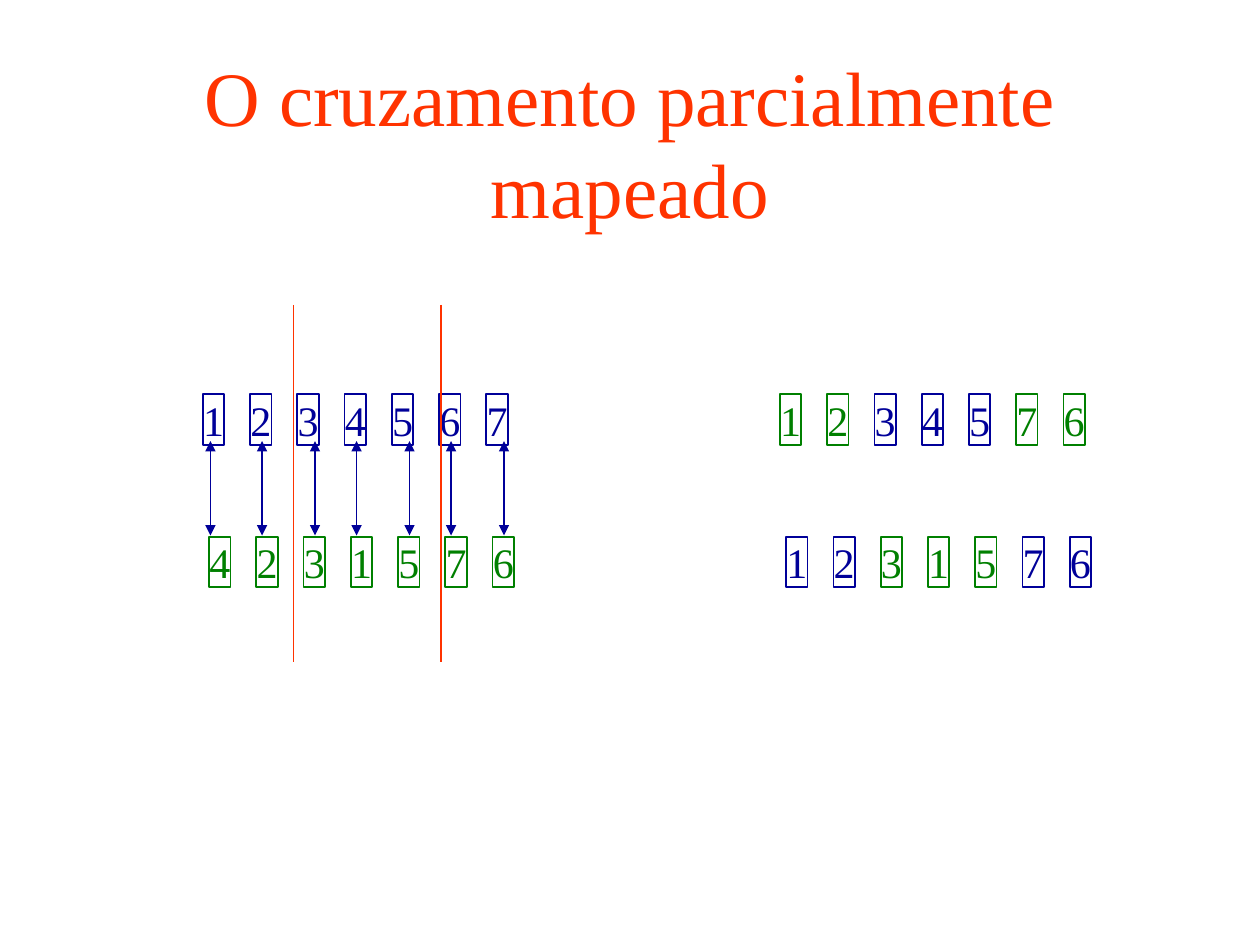
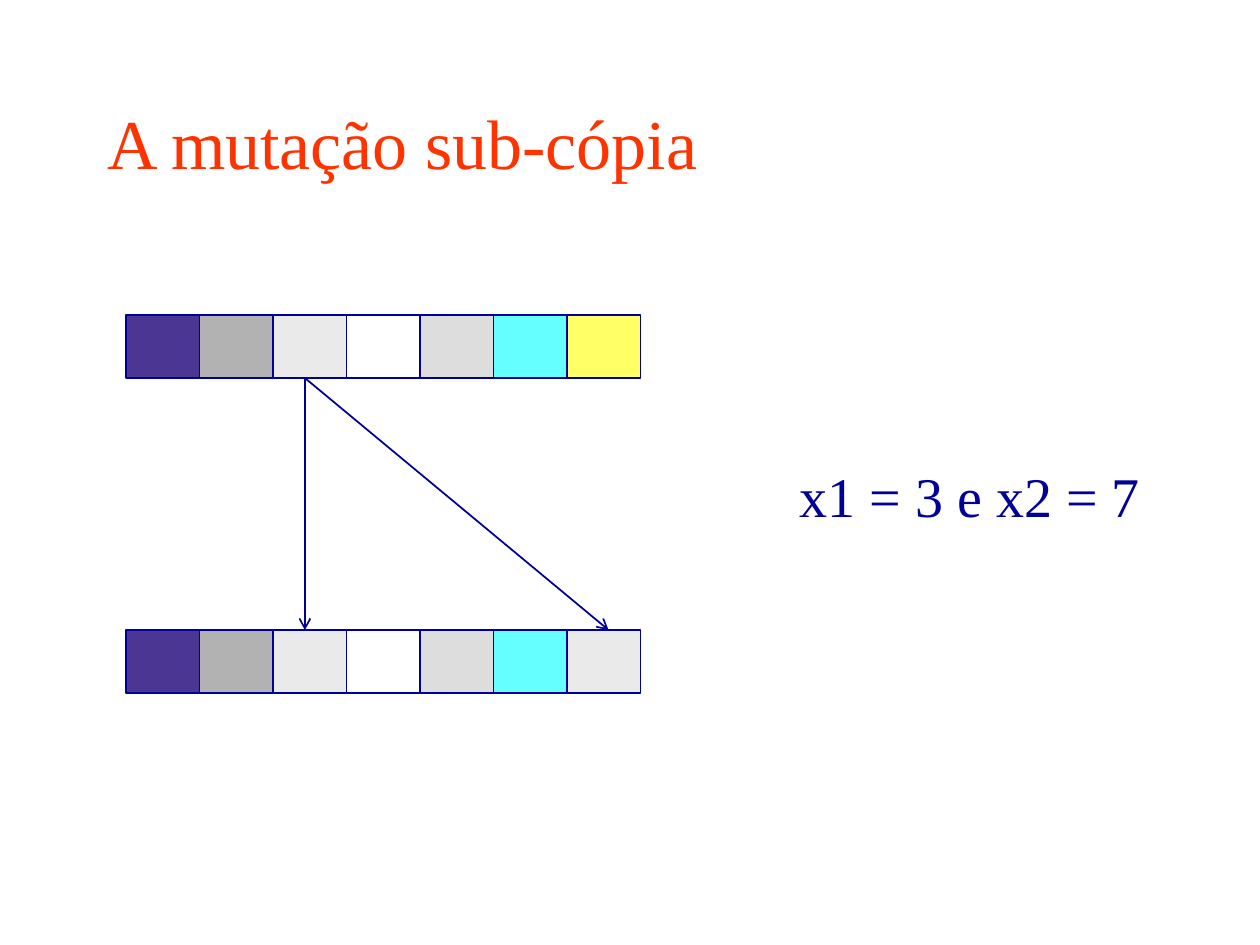
import pptx
import pptx.util
import pptx.dml.color
import pptx.enum.shapes
import pptx.enum.text
import pptx.oxml.ns
from lxml import etree

Inches = pptx.util.Inches
Align = pptx.enum.text.PP_ALIGN
Anchor = pptx.enum.text.MSO_ANCHOR
AutoSize = pptx.enum.text.MSO_AUTO_SIZE
qn = pptx.oxml.ns.qn

FONT = "Times New Roman"
RED = "FF3300"
BLUE = "000099"
GREEN = "008000"
GENE_COLORS = {"B": BLUE, "G": GREEN}
GENE_PITCH = 0.375
CELL_WIDTH = 7 / 12
CELL_HEIGHT = 0.5


def color(hex_string):
    return pptx.dml.color.RGBColor.from_string(hex_string)


def format_text(text_frame, size, text_color, align):
    for paragraph in text_frame.paragraphs:
        paragraph.alignment = align
        for run in paragraph.runs:
            run.font.name = FONT
            run.font.size = pptx.util.Pt(size)
            run.font.color.rgb = color(text_color)


def add_titled_slide(presentation, text, size, align):
    slide = presentation.slides.add_slide(presentation.slide_layouts[5])
    title = slide.shapes.title
    title.left, title.top = Inches(0.75), Inches(0.5)
    title.width, title.height = Inches(8.5), Inches(1.25)
    text_frame = title.text_frame
    text_frame.text = text
    text_frame.auto_size = AutoSize.NONE
    text_frame.vertical_anchor = Anchor.MIDDLE
    format_text(text_frame, size, RED, align)
    return slide


def add_rectangle(slide, left, top, width, height, line_color, fill_color=None):
    shape = slide.shapes.add_shape(
        pptx.enum.shapes.MSO_SHAPE.RECTANGLE,
        Inches(left), Inches(top), Inches(width), Inches(height))
    shape.shadow.inherit = False
    shape.line.color.rgb = color(line_color)
    shape.line.width = pptx.util.Pt(1)
    if fill_color:
        shape.fill.solid()
        shape.fill.fore_color.rgb = color(fill_color)
    else:
        shape.fill.background()
    return shape


def add_line(slide, start, end, line_color, head=None, tail=None):
    connector = slide.shapes.add_connector(
        pptx.enum.shapes.MSO_CONNECTOR.STRAIGHT,
        *[Inches(value) for value in (*start, *end)])
    connector.line.color.rgb = color(line_color)
    connector.line.width = pptx.util.Pt(1)
    properties = connector.element.spPr
    line = properties.find(qn("a:ln"))
    for tag, arrow in (("a:headEnd", head), ("a:tailEnd", tail)):
        if arrow:
            etree.SubElement(line, qn(tag), type=arrow)
    etree.SubElement(properties, qn("a:effectLst"))


def add_chromosome(slide, left, top, genes, parents):
    for index, (gene, parent) in enumerate(zip(genes, parents)):
        gene_color = GENE_COLORS[parent]
        shape = add_rectangle(
            slide, left + index * GENE_PITCH, top, 0.17, 0.4, gene_color)
        text_frame = shape.text_frame
        text_frame.text = gene
        text_frame.margin_left = text_frame.margin_right = 0
        text_frame.margin_top = text_frame.margin_bottom = 0
        text_frame.word_wrap = False
        text_frame.auto_size = AutoSize.SHAPE_TO_FIT_TEXT
        text_frame.vertical_anchor = Anchor.MIDDLE
        text_frame.paragraphs[0].space_before = pptx.util.Pt(15)
        format_text(text_frame, 24, gene_color, Align.CENTER)


def add_cell_row(slide, top, fills):
    for index, fill in enumerate(fills):
        add_rectangle(slide, 1 + index * CELL_WIDTH, top,
                      CELL_WIDTH, CELL_HEIGHT, BLUE, fill)


def add_note(slide, text):
    shape = slide.shapes.add_textbox(
        Inches(6.25), Inches(3.72), Inches(3.17), Inches(0.53))
    text_frame = shape.text_frame
    text_frame.word_wrap = True
    text_frame.text = text
    paragraph = text_frame.paragraphs[0]
    paragraph.line_spacing = 0.8
    paragraph.space_before = pptx.util.Pt(15)
    format_text(text_frame, 32, BLUE, Align.LEFT)


def build_crossover_slide(presentation):
    slide = add_titled_slide(
        presentation, "O cruzamento parcialmente mapeado", 44, Align.CENTER)
    add_chromosome(slide, 1.61, 3.13, "1234567", "BBBBBBB")
    for cut in (2.33, 3.5):
        add_line(slide, (cut, 2.42), (cut, 5.25), RED)
    add_chromosome(slide, 1.66, 4.26, "4231576", "GGGGGGG")
    add_chromosome(slide, 6.19, 3.13, "1234576", "GGBBBGG")
    add_chromosome(slide, 6.24, 4.26, "1231576", "BBGGGBB")
    for position in (1.67, 2.08, 2.5, 2.83, 3.25, 3.58, 4):
        add_line(slide, (position, 3.5), (position, 4.25), BLUE,
                 head="triangle", tail="triangle")


def build_mutation_slide(presentation):
    slide = add_titled_slide(
        presentation, "A mutação sub-cópia", 40, Align.LEFT)
    before = ["4B3793", "B2B2B2", "EAEAEA", "FFFFFF",
              "DDDDDD", "66FFFF", "FFFF66"]
    after = before[:-1] + [before[2]]
    add_cell_row(slide, 2.5, before)
    add_note(slide, "x1 = 3 e x2 = 7")
    add_cell_row(slide, 5, after)
    for target in (4.83, 2.42):
        add_line(slide, (2.42, 3), (target, 5), BLUE, tail="arrow")


def main():
    presentation = pptx.Presentation()
    presentation.slide_width = Inches(10)
    presentation.slide_height = Inches(7.5)
    build_crossover_slide(presentation)
    build_mutation_slide(presentation)
    presentation.save("out.pptx")


if __name__ == "__main__":
    main()
